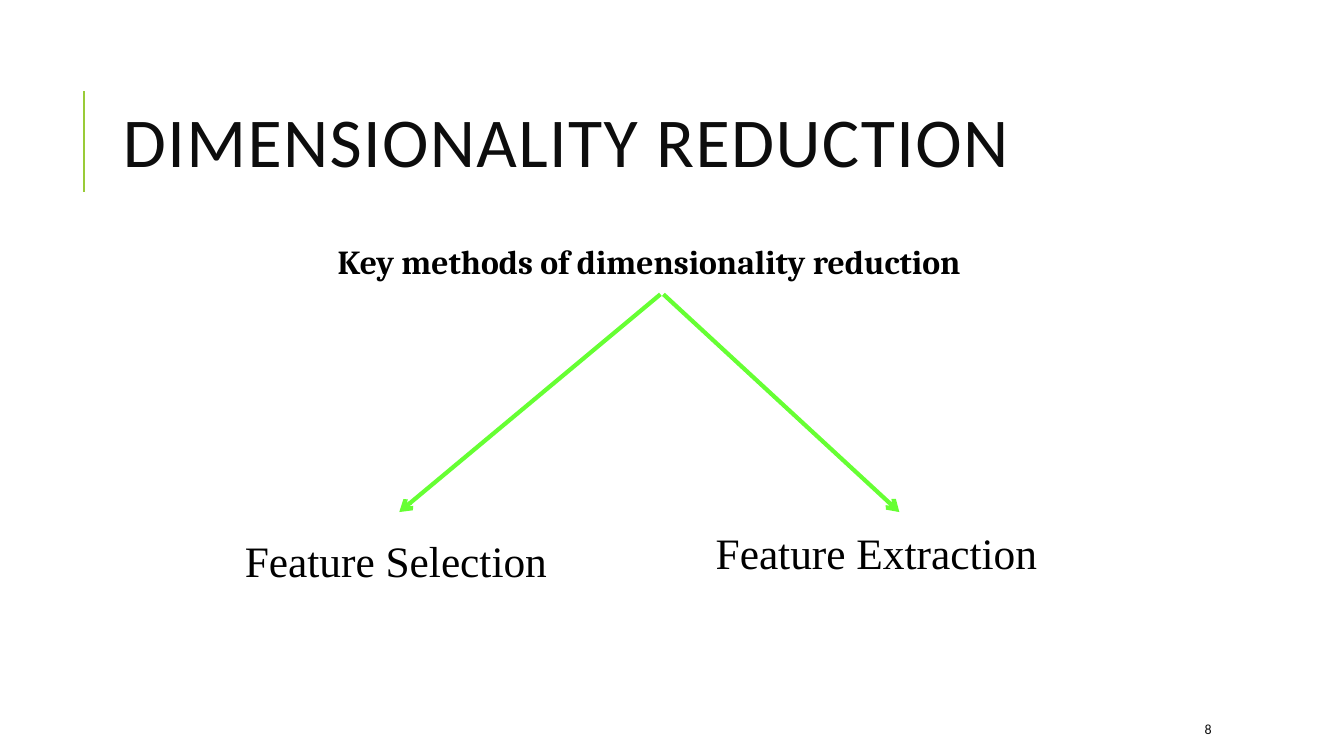
import pptx
import pptx.dml.color
import pptx.enum.shapes
import pptx.enum.text
import pptx.oxml
import pptx.oxml.ns
import pptx.util
from pptx.util import Inches

ANCHOR = pptx.enum.text.MSO_ANCHOR
INK = "0D0D0D"
BLACK = "000000"
RULE_GREEN = "99CB38"
ARROW_GREEN = "66FF33"


def color(hex_string):
    return pptx.dml.color.RGBColor.from_string(hex_string)


def add_element(parent, tag, **attributes):
    element = pptx.oxml.parse_xml(f"<a:{tag} {pptx.oxml.ns.nsdecls('a')}/>")
    for name, value in attributes.items():
        element.set(name, value)
    parent.append(element)


def add_label(slide, box, wording, hex_string, font_format, anchor=ANCHOR.TOP):
    label = slide.shapes.add_textbox(*(Inches(length) for length in box))
    frame = label.text_frame
    frame.word_wrap = True
    frame.vertical_anchor = anchor
    paragraph = frame.paragraphs[0]
    run = paragraph.add_run()
    run.text = wording
    run.font.color.rgb = color(hex_string)
    for name, value in font_format.items():
        setattr(run.font, name, value)
    return paragraph


def add_line(slide, start, end, hex_string, weight, arrow=False):
    line = slide.shapes.add_connector(
        pptx.enum.shapes.MSO_CONNECTOR.STRAIGHT,
        *(Inches(length) for length in (*start, *end)))
    line.line.color.rgb = color(hex_string)
    line.line.width = pptx.util.Pt(weight)
    properties = line._element.spPr
    if arrow:
        add_element(line.line._get_or_add_ln(), "tailEnd", type="arrow")
    add_element(properties, "effectLst")


def add_heading(slide, box):
    left, top, width, height = box
    rule_x = left - 0.29
    add_line(slide, (rule_x, top + 1.26), (rule_x, top + 0.26), RULE_GREEN, 1.5)
    heading = add_label(
        slide, box, "DIMENSIONALITY REDUCTION", INK,
        {"name": "Calibri", "size": pptx.util.Pt(50)}, ANCHOR.MIDDLE)
    heading.line_spacing = 0.8
    heading.runs[0]._r.get_or_add_rPr().set("spc", "100")


def add_methods_tree(slide, box):
    left, top, width, height = box
    add_label(slide, (left + 0.92, top, 7.52, 0.5),
              "Key methods of dimensionality reduction", BLACK,
              {"name": "Cambria", "size": pptx.util.Pt(24), "bold": True})
    branches = [
        ("Feature Extraction", 4.67, 2.83, 4.25, 6.59),
        ("Feature Selection", 0, 2.91, 4.22, 1.63),
    ]
    for method, label_x, label_y, start_x, end_x in branches:
        add_line(slide, (left + start_x, top + 0.58), (left + end_x, top + 2.74),
                 ARROW_GREEN, 3, arrow=True)
        add_label(slide, (left + label_x, top + label_y, 3.67, 0.62), method, BLACK,
                  {"name": "Times New Roman", "size": pptx.util.Pt(31)})


def add_page_number(slide, box):
    add_label(slide, box, "8", INK,
              {"name": "Calibri", "size": pptx.util.Pt(10)}, ANCHOR.MIDDLE)


def main():
    deck = pptx.Presentation()
    deck.slide_width = Inches(13.33)
    deck.slide_height = Inches(7.5)
    slide = deck.slides.add_slide(deck.slide_layouts[6])
    add_heading(slide, (1.12, 0.64, 10.63, 1.64))
    add_page_number(slide, (11.85, 7.08, 1.06, 0.3))
    add_methods_tree(slide, (2.33, 2.34, 8.44, 3.53))
    deck.save("out.pptx")


if __name__ == "__main__":
    main()
